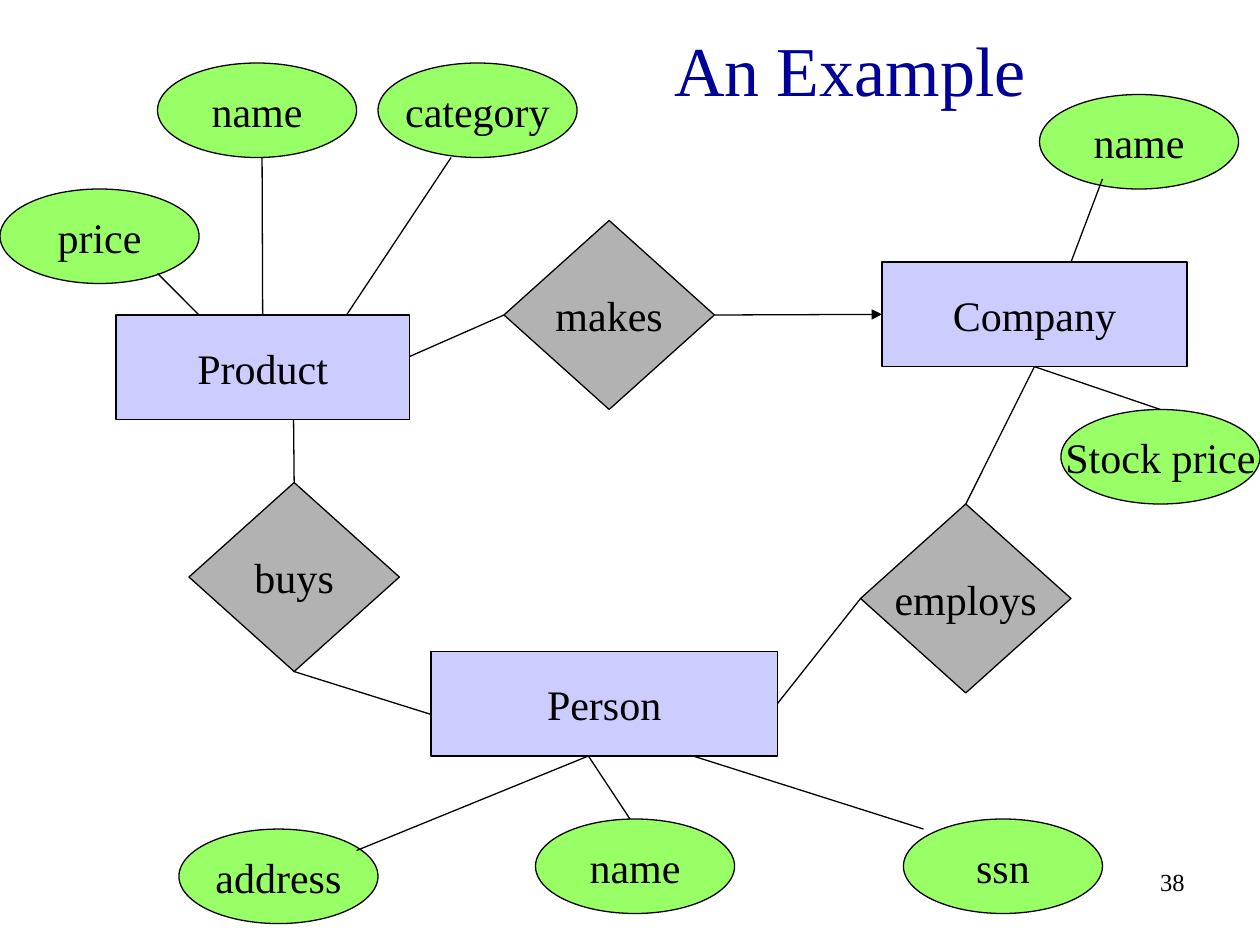
"""Build an entity-relationship diagram slide for products, companies and people."""
from lxml import etree
from pptx import Presentation
from pptx.dml.color import RGBColor
from pptx.enum.shapes import MSO_CONNECTOR, MSO_SHAPE
from pptx.enum.text import MSO_ANCHOR, PP_ALIGN
from pptx.oxml.ns import qn
from pptx.util import Inches, Pt

STRAIGHT = MSO_CONNECTOR.STRAIGHT
OVAL, RECT, DIAMOND = MSO_SHAPE.OVAL, MSO_SHAPE.RECTANGLE, MSO_SHAPE.DIAMOND
MIDDLE, TOP = MSO_ANCHOR.MIDDLE, MSO_ANCHOR.TOP
CENTER, RIGHT = PP_ALIGN.CENTER, PP_ALIGN.RIGHT


def rgb(value):
    return RGBColor.from_string(value)


def write(sp, text, size, color="000000", align=CENTER, anchor=MIDDLE, wrap=True):
    tf = sp.text_frame
    for name, value in {"word_wrap": wrap, "vertical_anchor": anchor}.items():
        setattr(tf, name, value)
    p = tf.paragraphs[0]
    p.alignment = align
    r = p.add_run()
    r.text = text
    for name, value in {"name": "Times New Roman", "size": Pt(size)}.items():
        setattr(r.font, name, value)
    r.font.color.rgb = rgb(color)


prs = Presentation()
prs.slide_width, prs.slide_height = Inches(10), Inches(7.5)
s = prs.slides.add_slide(prs.slide_layouts[6])

sp = s.shapes.add_textbox(Inches(7.42), Inches(6.83), Inches(2.08), Inches(0.5))
write(sp, "38", 14, align=RIGHT, anchor=TOP)

attributes = [
    ("address", "address", 1.42, 6.58),
    ("person name", "name", 4.25, 6.5),
    ("ssn", "ssn", 7.17, 6.5),
    ("product name", "name", 1.25, 0.5),
    ("category", "category", 3, 0.5),
    ("stock price", "Stock price", 8.42, 3.25),
    ("company name", "name", 8.25, 0.75),
    ("price", "price", 0, 1.5),
]
relationships = [("buys", 1.5, 3.83), ("makes", 4, 1.75), ("employs", 6.83, 4)]
entities = [
    ("Person", 3.42, 5.17, 2.75),
    ("Company", 7, 2.08, 2.42),
    ("Product", 0.92, 2.5, 2.33),
]

nodes = [(key, text, OVAL, "99FF66", x, y, 1.58, 0.75) for key, text, x, y in attributes]
nodes += [(text, text, DIAMOND, "B2B2B2", x, y, 1.67, 1.5) for text, x, y in relationships]
nodes += [(text, text, RECT, "CCCCFF", x, y, w, 0.83) for text, x, y, w in entities]

shapes = {}
for key, text, kind, fill, *box in nodes:
    sp = s.shapes.add_shape(kind, *map(Inches, box))
    sp.shadow.inherit = False
    sp.fill.solid()
    sp.fill.fore_color.rgb = rgb(fill)
    sp.line.color.rgb = rgb("000000")
    sp.line.width = Pt(0.75)
    write(sp, text, 24, wrap=False)
    shapes[key] = sp

links = [
    (("makes", 3), ("Company", 1), True),
    ((1.58, 2.5), (1.25, 2.17), False),
    (("Product", 0), (2.08, 1.25), False),
    ((2.75, 2.5), (3.58, 1.25), False),
    (("makes", 1), (3.25, 2.83), False),
    (("buys", 0), (2.33, 3.33), False),
    (("buys", 2), (3.42, 5.67), False),
    ((8.5, 2.08), (8.75, 1.42), False),
    (("employs", 1), ("Person", 3), False),
    ((4.67, 6), (2.83, 6.75), False),
    ((4.67, 6), (5, 6.5), False),
    ((5.5, 6), (7.33, 6.58), False),
    (("Company", 2), ("stock price", 0), False),
    (("employs", 0), ("Company", 2), False),
]
for start, end, arrow in links:
    joined = [isinstance(point[0], str) for point in (start, end)]
    ends = [(0, 0) if join else point for join, point in zip(joined, (start, end))]
    line = s.shapes.add_connector(STRAIGHT, *map(Inches, ends[0] + ends[1]))
    for join, point, connect in zip(joined, (start, end), (line.begin_connect, line.end_connect)):
        if join:
            connect(shapes[point[0]], point[1])
    line.line.color.rgb = rgb("000000")
    line.line.width = Pt(0.75)
    if arrow:
        etree.SubElement(line.line._get_or_add_ln(), qn("a:tailEnd"), type="triangle")
    etree.SubElement(line._element.spPr, qn("a:effectLst"))

sp = s.shapes.add_textbox(Inches(4.58), Inches(0.17), Inches(4.33), Inches(0.75))
write(sp, "An Example", 40, "000099")

prs.save("out.pptx")
